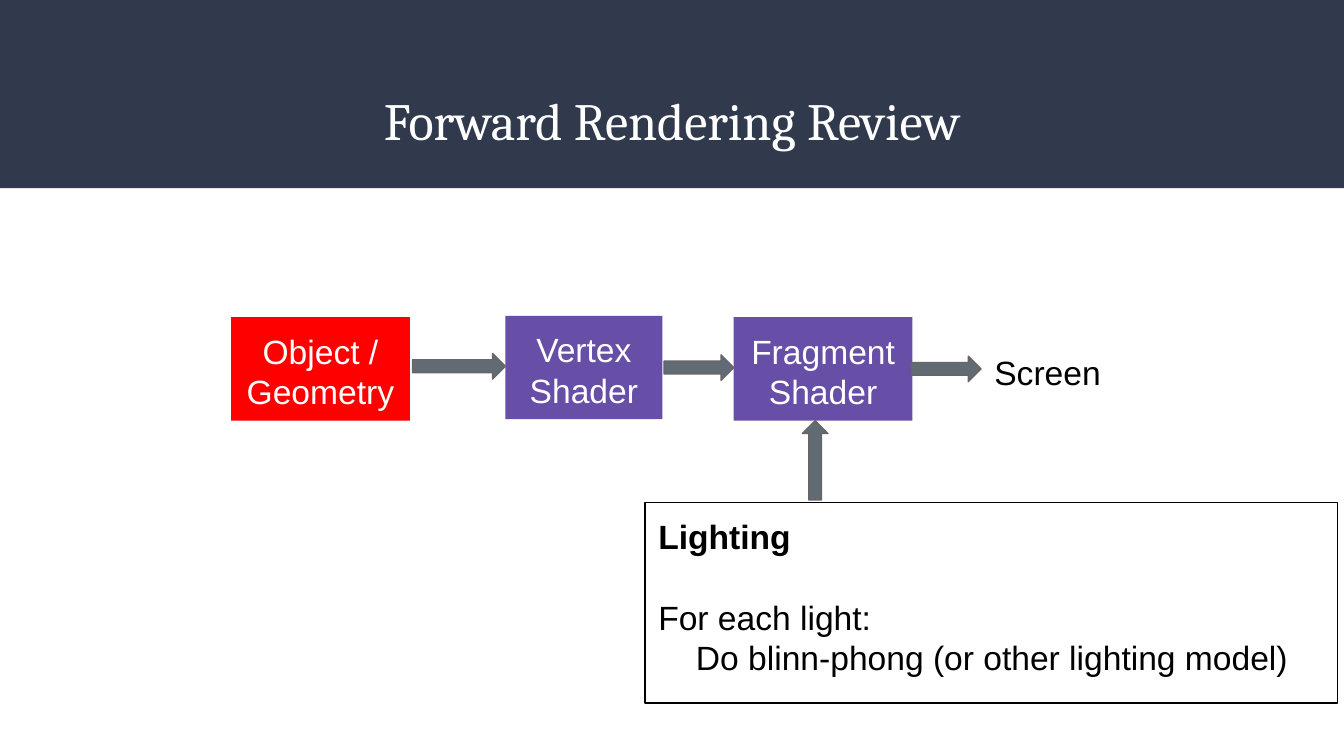
"""Build the Forward Rendering Review slide."""
from dataclasses import dataclass

from pptx import Presentation
from pptx.dml.color import RGBColor
from pptx.enum.shapes import MSO_SHAPE
from pptx.enum.text import MSO_ANCHOR, PP_ALIGN
from pptx.util import Inches, Pt

RECT, ARROW = MSO_SHAPE.RECTANGLE, MSO_SHAPE.RIGHT_ARROW
TOP, MIDDLE = MSO_ANCHOR.TOP, MSO_ANCHOR.MIDDLE
LEFT, CENTER = PP_ALIGN.LEFT, PP_ALIGN.CENTER
COLORS = {
    "banner": "31394D", "object": "FF0000", "shader": "674EA7",
    "arrow": "626B73", "arrow_line": "666666",
    "white": "FFFFFF", "black": "000000",
}


@dataclass
class Stage:
    text: str
    x: float
    y: float
    w: float
    fill: str


@dataclass
class Arrow:
    x: float
    y: float
    length: float
    rotation: int = 0


STAGES = [
    Stage("Object / Geometry", 1.72, 2.36, 1.33, "object"),
    Stage("Vertex Shader", 3.76, 2.35, 1.17, "shader"),
    Stage("Fragment Shader", 5.46, 2.36, 1.33, "shader"),
]
ARROWS = [
    Arrow(4.94, 2.64, 0.52),
    Arrow(6.78, 2.65, 0.52),
    Arrow(3.07, 2.63, 0.69),
    Arrow(5.77, 3.33, 0.59, 270),
]


def rgb(name: str) -> RGBColor:
    return RGBColor.from_string(COLORS[name])


def add_shape(s, kind, x: float, y: float, w: float, h: float,
              fill: str = "", line: str = ""):
    sp = s.shapes.add_shape(kind, Inches(x), Inches(y), Inches(w), Inches(h))
    sp.shadow.inherit = False
    if fill:
        sp.fill.solid()
        sp.fill.fore_color.rgb = rgb(fill)
    else:
        sp.fill.background()
    if line:
        sp.line.color.rgb = rgb(line)
        sp.line.width = Pt(0.75)
    else:
        sp.line.fill.background()
    return sp


def add_label(s, x: float, y: float, w: float, h: float):
    return s.shapes.add_textbox(Inches(x), Inches(y), Inches(w), Inches(h))


def write(sp, lines: list[str], color: str, align=LEFT, anchor=TOP,
          size: int = 18, font: str = "Arial") -> list:
    tf = sp.text_frame
    tf.word_wrap = True
    tf.vertical_anchor = anchor
    tf.margin_left = tf.margin_right = Inches(0.1)
    tf.margin_top = tf.margin_bottom = Inches(0.1)
    tf.text = "\n".join(lines)
    for p in tf.paragraphs:
        p.alignment = align
        for r in p.runs:
            r.font.name = font
            r.font.size = Pt(size)
            r.font.color.rgb = rgb(color)
    return list(tf.paragraphs)


def main() -> None:
    prs = Presentation()
    prs.slide_width = Inches(10)
    prs.slide_height = Inches(10 * 9 / 16)
    s = prs.slides.add_slide(prs.slide_layouts[6])

    add_shape(s, RECT, 0, 0, 10, 1.4, "banner")
    title = add_label(s, 0.34, 0.55, 9.32, 0.68)
    write(title, ["Forward Rendering Review"], "white", CENTER, MIDDLE, 28, "Cambria")

    for stage in STAGES:
        sp = add_shape(s, RECT, stage.x, stage.y, stage.w, 0.77, stage.fill)
        write(sp, [stage.text], "white", CENTER)
    for arrow in ARROWS:
        sp = add_shape(s, ARROW, arrow.x, arrow.y, arrow.length, 0.19,
                       "arrow", "arrow_line")
        sp.rotation = arrow.rotation
    write(add_label(s, 7.3, 2.52, 1.22, 0.4), ["Screen"], "black")

    lighting = add_shape(s, RECT, 4.8, 3.74, 5.15, 1.49, line="black")
    heading, loop, body = write(lighting, [
        "Lighting", "For each light:", "Do blinn-phong (or other lighting model)",
    ], "black")
    heading.runs[0].font.bold = True
    loop.space_before = Pt(21.6)
    body._p.get_or_add_pPr().set("marL", str(Inches(0.28)))

    prs.save("out.pptx")


if __name__ == "__main__":
    main()
